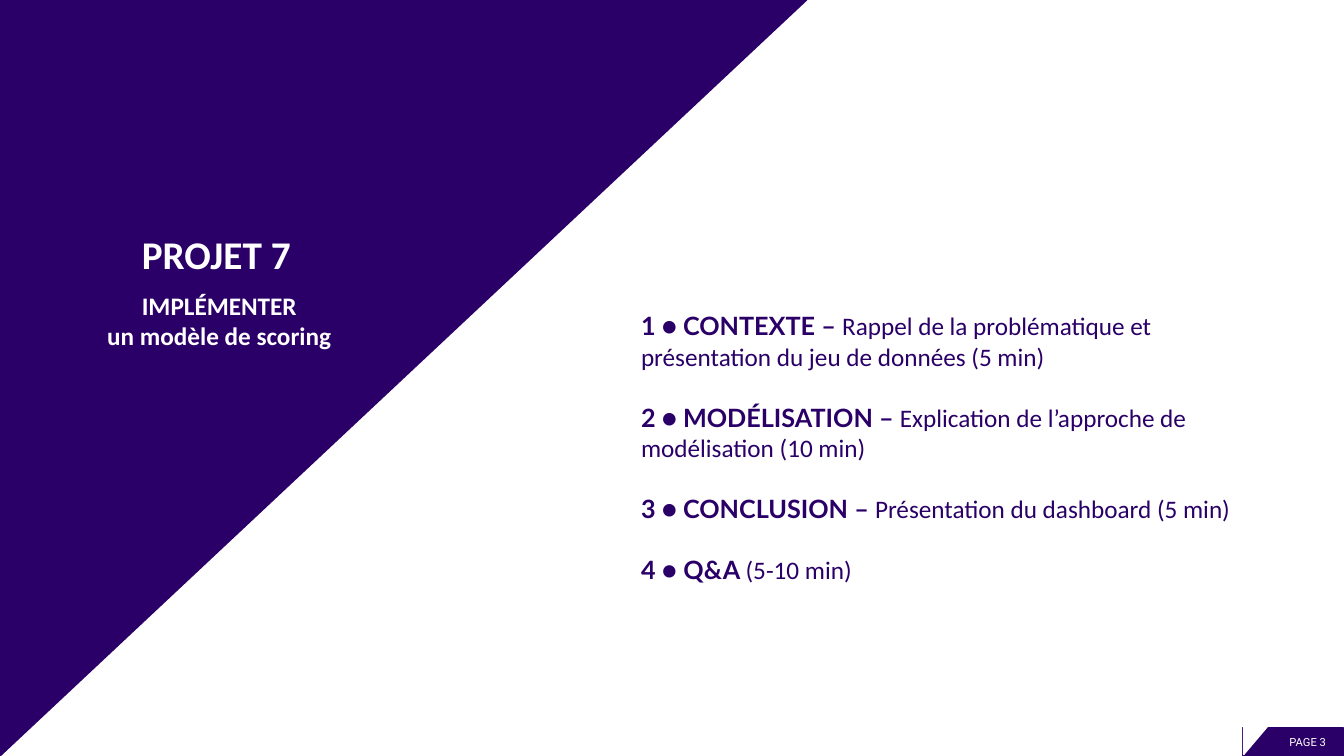
from dataclasses import dataclass
from pptx import Presentation
from pptx.dml.color import RGBColor
from pptx.enum.shapes import MSO_SHAPE as Preset
from pptx.enum.text import MSO_ANCHOR as Anchor, PP_ALIGN as Align
from pptx.util import Inches, Pt


@dataclass(frozen=True)
class Theme:
    purple: RGBColor = RGBColor(0x2A, 0x00, 0x68)
    white: RGBColor = RGBColor(0xFF, 0xFF, 0xFF)
    body_font: str = "Calibri"
    label_font: str = "Lato"
    page_font: str = "Roboto"
    title_size: int = 28
    body_size: int = 18
    page_size: int = 8
    item_gap: int = 22


class SlideBuilder:
    def __init__(self, slide, theme):
        self.slide = slide
        self.theme = theme

    def block(self, preset, box, color, rotation=0, outlined=True):
        shape = self.slide.shapes.add_shape(preset, *map(Inches, box))
        shape.shadow.inherit = False
        shape.rotation = rotation
        shape.fill.solid()
        shape.fill.fore_color.rgb = color
        if outlined:
            shape.line.color.rgb = color
            shape.line.width = Pt(1)
        else:
            shape.line.fill.background()
        return shape

    def text_box(self, box):
        return self.slide.shapes.add_textbox(*map(Inches, box))

    def fill_text(self, shape, paragraphs, align=Align.LEFT, gap=0, **frame_format):
        frame = shape.text_frame
        for name, value in {"word_wrap": True, **frame_format}.items():
            setattr(frame, name, value)
        for index, runs in enumerate(paragraphs):
            paragraph = frame.add_paragraph() if index else frame.paragraphs[0]
            paragraph.alignment = align
            if index:
                paragraph.space_before = Pt(gap)
            for text, style in runs:
                self.add_run(paragraph, text, **style)

    def add_run(self, paragraph, text, color, **font_format):
        run = paragraph.add_run()
        run.text = text
        run.font.color.rgb = color
        for name, value in font_format.items():
            setattr(run.font, name, value)


theme = Theme()
presentation = Presentation()
presentation.slide_width = Inches(13.33)
presentation.slide_height = Inches(7.5)
slide = presentation.slides.add_slide(presentation.slide_layouts[6])
builder = SlideBuilder(slide, theme)

title_style = {"name": theme.body_font, "size": Pt(theme.title_size), "bold": True, "color": theme.white}
subtitle_style = {**title_style, "size": Pt(theme.body_size)}
label_style = {"name": theme.label_font, "size": Pt(theme.body_size), "bold": True, "color": theme.purple}
bullet_style = {**label_style, "bold": False}
detail_style = {**bullet_style, "name": theme.body_font}
page_style = {"name": theme.page_font, "size": Pt(theme.page_size), "color": theme.white}

builder.block(Preset.RIGHT_TRIANGLE, (0.25, -0.25, 7.5, 8), theme.purple, rotation=90)

title = builder.block(Preset.RECTANGLE, (1.11, 2.27, 2.07, 0.46), theme.purple, outlined=False)
title_margins = {f"margin_{side}": Inches(0.04) for side in ("left", "top", "right")}
builder.fill_text(title, [[("PROJET 7", title_style)]], Align.CENTER,
                  vertical_anchor=Anchor.MIDDLE, margin_bottom=0, **title_margins)

subtitle_lines = ("IMPLÉMENTER", "un modèle de scoring")
builder.fill_text(builder.text_box((0.58, 2.83, 3.19, 0.71)),
                  [[(line, subtitle_style)] for line in subtitle_lines], Align.CENTER)

steps = (
    ("CONTEXTE", "Rappel de la problématique et présentation du jeu de données (5 min)"),
    ("MODÉLISATION", "Explication de l’approche de modélisation (10 min)"),
    ("CONCLUSION", "Présentation du dashboard (5 min)"),
)
agenda_items = [
    [(f"{number} ● {label} – ", label_style), (detail, detail_style)]
    for number, (label, detail) in enumerate(steps, 1)
]
agenda_items.append([("4 ", label_style), ("● ", bullet_style),
                     ("Q&A ", label_style), ("(5-10 min)", detail_style)])
agenda = builder.block(Preset.RECTANGLE, (6.26, 2.18, 6.36, 4.52), theme.white)
builder.fill_text(agenda, agenda_items, gap=theme.item_gap, vertical_anchor=Anchor.MIDDLE)

builder.block(Preset.RECTANGLE, (12.33, 7.22, 0.99, 0.28), theme.purple)
builder.fill_text(builder.text_box((12.4, 7.26, 0.85, 0.2)), [[("PAGE 3", page_style)]],
                  Align.RIGHT, vertical_anchor=Anchor.MIDDLE)
builder.block(Preset.RIGHT_TRIANGLE, (12.31, 7.18, 0.33, 0.28), theme.white, rotation=90)

presentation.save("out.pptx")
